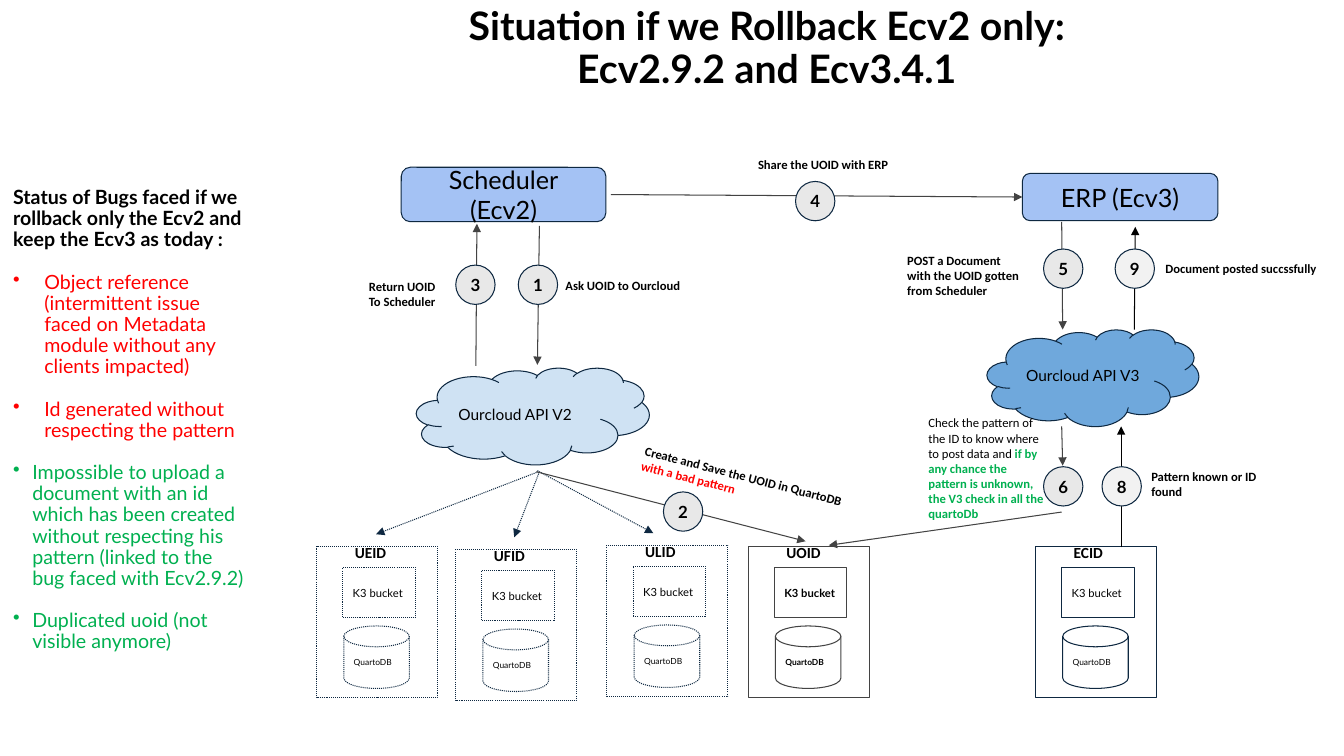
from lxml import etree
from pptx import Presentation
from pptx.dml.color import RGBColor
from pptx.enum.dml import MSO_LINE
from pptx.enum.shapes import MSO_CONNECTOR, MSO_SHAPE
from pptx.enum.text import MSO_ANCHOR, MSO_AUTO_SIZE, PP_ALIGN
from pptx.oxml.ns import qn
from pptx.util import Inches, Pt

RECT, CLOUD, CIRCLE = MSO_SHAPE.RECTANGLE, MSO_SHAPE.CLOUD, MSO_SHAPE.OVAL
DISK = MSO_SHAPE.FLOWCHART_MAGNETIC_DISK
SYSTEM = MSO_SHAPE.FLOWCHART_ALTERNATE_PROCESS
STRAIGHT = MSO_CONNECTOR.STRAIGHT
DOTS = MSO_LINE.ROUND_DOT
LEFT, CENTER = PP_ALIGN.LEFT, PP_ALIGN.CENTER
TOP, MIDDLE = MSO_ANCHOR.TOP, MSO_ANCHOR.MIDDLE
GROW = MSO_AUTO_SIZE.SHAPE_TO_FIT_TEXT

BLACK, NAVY, GRAY = "000000", "0E2841", "434343"
RED, GREEN = "FF0000", "00B050"
SYSTEM_BLUE, PALE_BLUE, MID_BLUE = "A4C2F4", "CFE2F3", "6FA8DC"
STEP_GRAY, STEP_LIGHT = "E8E8E8", "F2F2F2"
STEP_SIZE = 0.39


def color(value):
    """Turn a hex string into a colour."""
    return RGBColor.from_string(value)


def shift(origin, x, y, *size):
    """Return a place given relative to the corner of a region, as lengths."""
    return [Inches(v) for v in (origin[0] + x, origin[1] + y, *size)]


def style_font(font, size, name="Lato", bold=False, ink=BLACK):
    """Set the face, size, weight and colour of a font."""
    font.name, font.size, font.bold = name, Pt(size), bold
    font.color.rgb = color(ink)


def set_frame(frame, inset, anchor):
    """Wrap a text frame and set its insets and anchor."""
    frame.word_wrap = True
    frame.vertical_anchor = anchor
    frame.margin_left = frame.margin_right = Inches(inset)
    frame.margin_top = frame.margin_bottom = Inches(inset)


def style_line(line, ink, dotted=False):
    """Give a thin line its colour and dash."""
    line.color.rgb = color(ink)
    line.width = Pt(0.75)
    if dotted:
        line.dash_style = DOTS


def add_figure(page, kind, place, fill=None, ink=NAVY, dotted=False,
               text="", size=11, bold=False, align=LEFT, inset=0.1):
    """Add an outlined shape with an optional caption."""
    shape = page.shapes.add_shape(kind, *place)
    shape.shadow.inherit = False
    if fill:
        shape.fill.solid()
        shape.fill.fore_color.rgb = color(fill)
    else:
        shape.fill.background()
    style_line(shape.line, ink, dotted)
    if text:
        set_frame(shape.text_frame, inset, MIDDLE)
        para = shape.text_frame.paragraphs[0]
        para.text, para.alignment = text, align
        style_font(para.font, size, bold=bold)
    return shape


def add_label(page, place, lines, size=9, rotation=0):
    """Add a bold label with one paragraph for each line."""
    box = page.shapes.add_textbox(*place)
    box.rotation = rotation
    frame = box.text_frame
    set_frame(frame, 0.1, TOP)
    frame.auto_size = GROW
    for index, line in enumerate(lines):
        para = frame.add_paragraph() if index else frame.paragraphs[0]
        para.text = line
        style_font(para.font, size, "Calibri", True)
    return box


def add_mixed_label(page, place, spans, rotation=0):
    """Add a label whose spans differ in weight and colour."""
    box = add_label(page, place, [""], rotation=rotation)
    for text, bold, ink in spans:
        span = box.text_frame.paragraphs[0].add_run()
        span.text = text
        style_font(span.font, 9, "Calibri", bold, ink)


def add_arrow(page, start, end, ink=GRAY, dotted=False):
    """Add a straight arrow pointing at its end."""
    arrow = page.shapes.add_connector(STRAIGHT, *start, *end)
    style_line(arrow.line, ink, dotted)
    head = etree.SubElement(arrow.line._get_or_add_ln(), qn("a:tailEnd"))
    head.set("type", "triangle")
    etree.SubElement(arrow._element.spPr, qn("a:effectLst"))
    return arrow


def add_step(page, origin, x, y, number, fill=STEP_GRAY):
    """Add a numbered circle."""
    add_figure(page, CIRCLE, shift(origin, x, y, STEP_SIZE, STEP_SIZE), fill,
               text=str(number), size=12, bold=True, align=CENTER, inset=0)


def draw_title(page, box):
    """Write the centred heading."""
    frame = page.shapes.add_textbox(*shift((0, 0), *box)).text_frame
    set_frame(frame, 0, MIDDLE)
    para = frame.paragraphs[0]
    para.text = "Situation if we Rollback Ecv2 only:\vEcv2.9.2 and Ecv3.4.1"
    para.alignment, para.line_spacing = CENTER, 0.9
    style_font(para.font, 28, bold=True)


def draw_status(page, box):
    """Write the list of bugs and their state."""
    items = [
        ("Status of Bugs faced if we rollback only the Ecv2 and keep the Ecv3 as today :", BLACK, 0),
        ("Object reference (intermittent issue faced on Metadata module without any clients impacted)", RED, 0.31),
        ("Id generated without respecting the pattern", RED, 0.31),
        ("Impossible to upload a document with an id which has been created without respecting "
         "his pattern (linked to the bug faced with Ecv2.9.2)", GREEN, 0.19),
        ("Duplicated uoid (not visible anymore)", GREEN, 0.19),
    ]
    frame = page.shapes.add_textbox(*shift((0, 0), *box)).text_frame
    set_frame(frame, 0, MIDDLE)
    for index, (text, ink, indent) in enumerate(items):
        para = frame.add_paragraph() if index else frame.paragraphs[0]
        para.text = text
        if indent:
            props = para._p.get_or_add_pPr()
            props.set("marL", str(Inches(indent)))
            props.set("indent", str(-Inches(indent)))
            etree.SubElement(props, qn("a:buChar")).set("char", "•")
            para.space_before = Pt(15)
        para.line_spacing = 0.9
        style_font(para.font, 14, bold=not indent, ink=ink)


def draw_store(page, origin, name, ink=NAVY, dotted=False, bold=False):
    """Draw one store holding a bucket and a database."""
    outline = {"ink": ink, "dotted": dotted}
    add_figure(page, RECT, shift(origin, 0, 0, 1.2, 1.5), **outline)
    add_figure(page, RECT, shift(origin, 0.26, 0.21, 0.72, 0.5),
               text="K3 bucket", size=8, bold=bold, **outline)
    add_figure(page, DISK, shift(origin, 0.27, 0.79, 0.65, 0.62),
               text="QuartoDB", size=6, bold=bold, **outline)
    add_label(page, shift(origin, 0.28, -0.12, 0.61, 0.39), [name], 11)


def draw_ecv2_flow(page, origin):
    """Draw steps 1 to 3 around the V2 cloud and return its system."""
    for start, end in [((1.84, 3.18), (0.23, 3.8)), ((1.85, 3.18), (1.6, 3.83)),
                       ((1.83, 3.17), (2.98, 3.79))]:
        add_arrow(page, shift(origin, *start), shift(origin, *end), NAVY, True)
    for start, end in [((1.82, 3.18), (4.49, 3.87)), ((1.85, 0.74), (1.83, 2.12)),
                       ((1.22, 2.13), (1.23, 0.72))]:
        add_arrow(page, shift(origin, *start), shift(origin, *end))
    add_figure(page, CLOUD, shift(origin, 0.63, 2.15, 2.31, 0.96), PALE_BLUE, text="Ourcloud API V2")
    for number, x, y in [(1, 1.64, 1.13), (2, 3.08, 3.38), (3, 1.02, 1.13)]:
        add_step(page, origin, x, y, number)
    add_label(page, shift(origin, 2.01, 1.18, 1.94, 0.5), ["Ask UOID to Ourcloud"])
    add_label(page, shift(origin, 0.06, 1.17, 1.12, 0.5), ["Return UOID", "To Scheduler"])
    add_mixed_label(page, shift(origin, 2.73, 3.06, 2.36, 0.66),
                    [("Create and Save the UOID in QuartoDB", True, BLACK),
                     (" with a bad pattern", True, RED)], 14.4)
    add_figure(page, SYSTEM, shift(origin, 0.48, 0.16, 2.03, 0.54), SYSTEM_BLUE,
               text="Scheduler\v(Ecv2)", size=18, align=CENTER)


def draw_ecv3_flow(page, origin):
    """Draw steps 5 to 9 around the V3 cloud and return its system."""
    for start, end, ink in [((1.63, 0.7), (1.64, 1.77), GRAY), ((2.35, 1.77), (2.36, 0.75), BLACK),
                            ((1.63, 2.73), (1.64, 3.12), GRAY), ((2.22, 3.93), (2.22, 2.73), BLACK),
                            ((1.63, 3.58), (-0.68, 3.91), GRAY)]:
        add_arrow(page, shift(origin, *start), shift(origin, *end), ink)
    add_figure(page, CLOUD, shift(origin, 0.89, 1.77, 2.1, 0.96), MID_BLUE, text="Ourcloud API V3")
    for number, x, y, fill in [(5, 1.45, 0.97, STEP_GRAY), (9, 2.16, 0.97, STEP_LIGHT),
                               (6, 1.45, 3.13, STEP_GRAY), (8, 2.03, 3.13, STEP_LIGHT)]:
        add_step(page, origin, x, y, number, fill)
    add_label(page, shift(origin, 0, 0.91, 1.36, 0.66),
              ["POST a Document with the UOID gotten from Scheduler"])
    add_label(page, shift(origin, 2.56, 1.01, 1.8, 0.35), ["Document posted succssfully"])
    add_label(page, shift(origin, 2.42, 3.05, 1.25, 0.5), ["Pattern known or ID found"])
    add_mixed_label(page, shift(origin, 0.21, 2.52, 1.36, 1.26),
                    [("Check the pattern of the ID to know where to post data and ", False, BLACK),
                     ("if by any chance the pattern is unknown, the V3 check in all the quartoDb", True, GREEN)])
    return add_figure(page, SYSTEM, shift(origin, 1.24, 0.22, 1.94, 0.47), SYSTEM_BLUE,
                      text="ERP (Ecv3)", size=18, align=CENTER)


def draw_exchange(page, origin, target):
    """Draw step 4, which leads to the target system."""
    arrow = add_arrow(page, shift(origin, 0, 0.45), shift(origin, 4.08, 0.45))
    arrow.end_connect(target, 1)
    add_label(page, shift(origin, 1.36, 0, 2.03, 0.35), ["Share the UOID with ERP"])
    add_step(page, origin, 1.83, 0.32, 4)


def main():
    """Build the slide and save it."""
    deck = Presentation()
    deck.slide_width, deck.slide_height = Inches(13.33), Inches(7.5)
    page = deck.slides.add_slide(deck.slide_layouts[6])
    draw_title(page, (2.79, 0.18, 9.63, 0.62))
    draw_status(page, (0.13, 1.17, 2.29, 6))
    for name, x, y in [("UEID", 3.14, 5.42), ("UFID", 4.52, 5.45), ("ULID", 6.02, 5.41)]:
        draw_store(page, (x, y), name, dotted=True)
    draw_store(page, (7.42, 5.42), "UOID", GRAY, bold=True)
    draw_store(page, (10.27, 5.42), "ECID")
    draw_ecv2_flow(page, (3.5, 1.5))
    target = draw_ecv3_flow(page, (8.9, 1.5))
    draw_exchange(page, (6.06, 1.48), target)
    deck.save("out.pptx")


if __name__ == "__main__":
    main()
